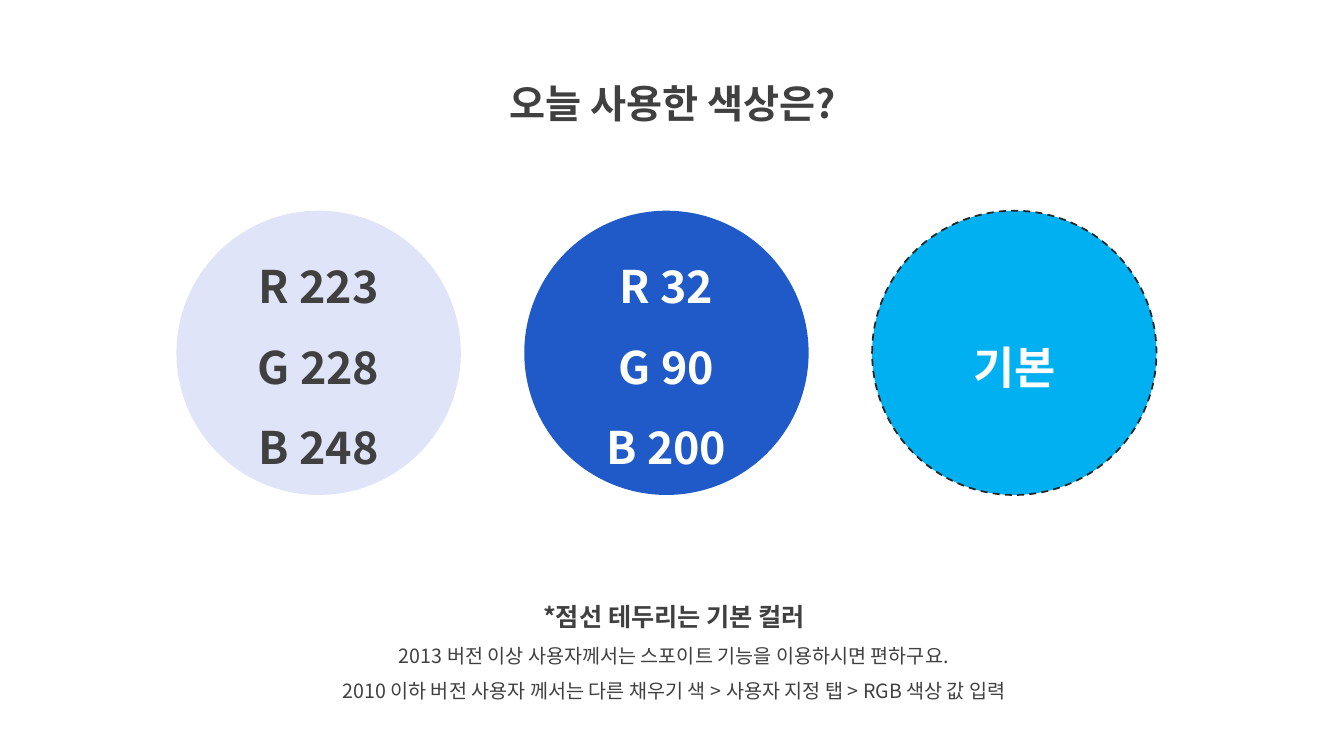
"""Build a slide that lists the colours used today as three labelled circles."""
from lxml.etree import SubElement
from pptx import Presentation
from pptx.dml.color import RGBColor
from pptx.enum.dml import MSO_LINE
from pptx.enum.shapes import MSO_SHAPE
from pptx.enum.text import MSO_ANCHOR, MSO_AUTO_SIZE, PP_ALIGN
from pptx.oxml.ns import qn
from pptx.util import Inches, Pt

COLORS = {"text": "404040", "white": "FFFFFF", "pale": "DFE4F8",
          "blue": "205AC8", "sky": "00B0F0", "outline": "262626"}


class ColorSlide:
    """Hold the style and the current slide; boxes are in percent of its size."""

    font = "Noto Sans CJK KR"
    heading = {"size": Pt(28), "bold": True}
    lead = {"size": Pt(18), "bold": True}
    body = {"size": Pt(14), "bold": False}
    label = {"size": Pt(32), "bold": True}

    def __init__(self, prs):
        """Add a title-only slide."""
        self.prs = prs
        self.s = prs.slides.add_slide(prs.slide_layouts[5])

    def box(self, left, top, width, height):
        """Turn percentages into slide lengths."""
        w, h = self.prs.slide_width, self.prs.slide_height
        return [int(share * side / 100) for share, side in
                zip((left, top, width, height), (w, h, w, h))]

    def set_text(self, sp, lines, color, anchor=MSO_ANCHOR.TOP):
        """Fill a shape with centred lines given as text and format pairs."""
        tf = sp.text_frame
        frame = {"word_wrap": True, "vertical_anchor": anchor,
                 "auto_size": MSO_AUTO_SIZE.NONE}
        for name, value in frame.items():
            setattr(tf, name, value)
        for i, (text, style) in enumerate(lines):
            p = tf.add_paragraph() if i else tf.paragraphs[0]
            layout = {"alignment": PP_ALIGN.CENTER, "line_spacing": 1.5,
                      "space_before": Pt(0)}
            for name, value in layout.items():
                setattr(p, name, value)
            r = p.add_run()
            r.text = text
            for name, value in {"name": self.font, **style}.items():
                setattr(r.font, name, value)
            r.font.color.rgb = RGBColor.from_string(COLORS[color])
            SubElement(r._r.get_or_add_rPr(), qn("a:ea"), typeface=self.font)

    def title(self, text, *place):
        """Place and format the title."""
        sp = self.s.shapes.title
        sp.left, sp.top, sp.width, sp.height = self.box(*place)
        self.set_text(sp, [(text, self.heading)], "text")

    def note(self, lines, *place):
        """Add a text box."""
        sp = self.s.shapes.add_textbox(*self.box(*place))
        self.set_text(sp, lines, "text")

    def circle(self, labels, fill, color, outline, *place):
        """Add a labelled circle, dashed when an outline colour is given."""
        sp = self.s.shapes.add_shape(MSO_SHAPE.OVAL, *self.box(*place))
        sp.shadow.inherit = False
        sp.fill.solid()
        sp.fill.fore_color.rgb = RGBColor.from_string(COLORS[fill])
        if outline:
            sp.line.color.rgb = RGBColor.from_string(COLORS[outline])
            sp.line.width = Pt(1.25)
            sp.line.dash_style = MSO_LINE.DASH
        else:
            sp.line.fill.background()
        self.set_text(sp, [(t, self.label) for t in labels], color,
                      MSO_ANCHOR.MIDDLE)


def main():
    """Build and save the slide."""
    prs = Presentation()
    prs.slide_width, prs.slide_height = Inches(13.33), Inches(7.5)
    page = ColorSlide(prs)
    page.title("오늘 사용한 색상은?", 32.71, 6.67, 34.73, 9.6)
    page.note([("*점선 테두리는 기본 컬러", page.lead),
               ("2013 버전 이상 사용자께서는 스포이트 기능을 이용하시면 편하구요.",
                page.body),
               ("2010 이하 버전 사용자 께서는 다른 채우기 색 > 사용자 지정 탭 > "
                "RGB 색상 값 입력", page.body)],
              20.18, 76.93, 59.94, 16.8)
    circles = [(("R 223", "G 228", "B 248"), "pale", "text", None),
               (("R 32", "G 90", "B 200"), "blue", "white", None),
               (("기본",), "sky", "white", "outline")]
    for col, circle in enumerate(circles):
        page.circle(*circle, 13.13 + 25.88 * col, 27.87, 21.16, 37.6)
    prs.save("out.pptx")


if __name__ == "__main__":
    main()
